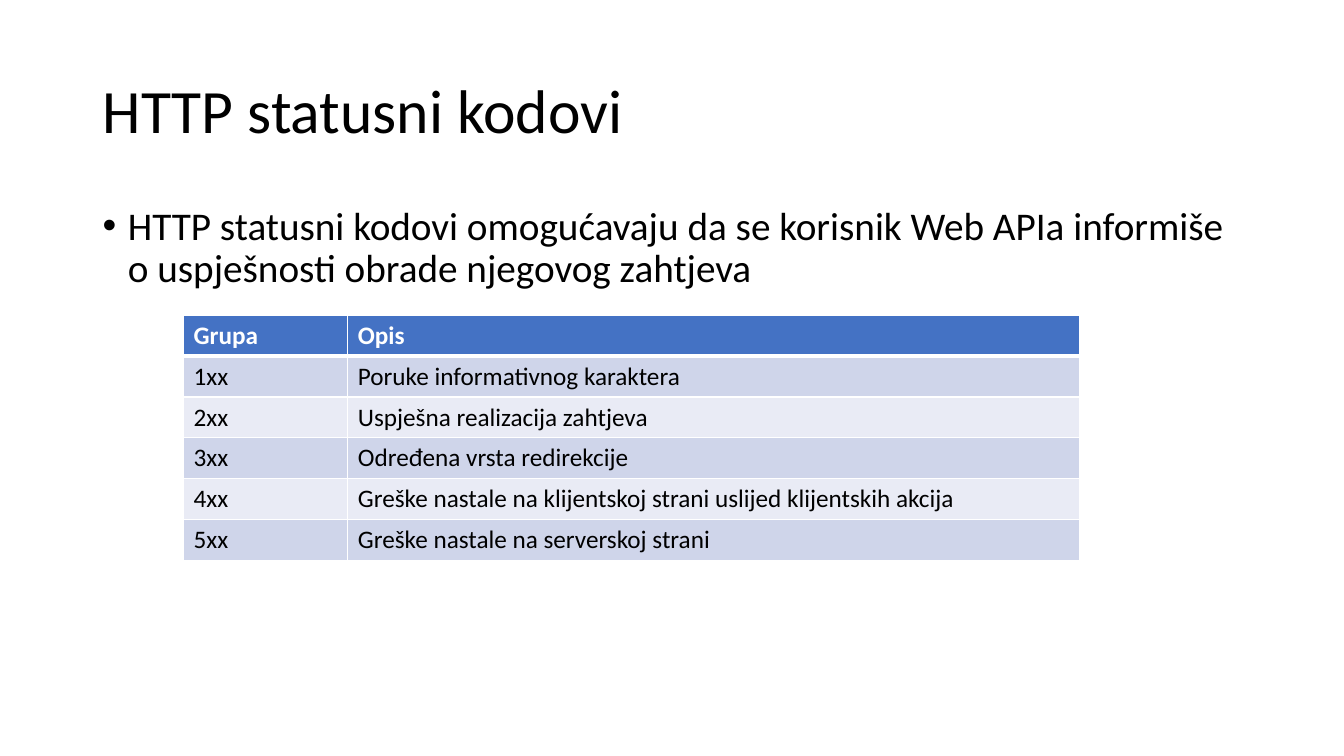
"""Builds a slide that lists the groups of HTTP status codes in a table."""
import pptx
import pptx.dml.color
import pptx.enum.text
import pptx.oxml
import pptx.oxml.ns
import pptx.util
from pptx.util import Inches

COLORS = {
    "text": "000000",
    "white": "FFFFFF",
    "header": "4472C4",
    "odd": "CFD5EA",
    "even": "E9EBF5",
}

STATUS_GROUPS = [
    ("Grupa", "Opis"),
    ("1xx", "Poruke informativnog karaktera"),
    ("2xx", "Uspješna realizacija zahtjeva"),
    ("3xx", "Određena vrsta redirekcije"),
    ("4xx", "Greške nastale na klijentskoj strani uslijed klijentskih akcija"),
    ("5xx", "Greške nastale na serverskoj strani"),
]


class SlideBuilder:
    def __init__(self, slide, font="Calibri"):
        self.slide = slide
        self.font = font

    def color(self, name):
        return pptx.dml.color.RGBColor.from_string(COLORS[name])

    def format_text(self, p, size, color="text", bold=False):
        for r in p.runs:
            r.font.name = self.font
            r.font.size = pptx.util.Pt(size)
            r.font.bold = bold
            r.font.color.rgb = self.color(color)

    def text(self, text, left, top, width, height, size, anchor):
        sp = self.slide.shapes.add_textbox(
            Inches(left), Inches(top), Inches(width), Inches(height))
        tf = sp.text_frame
        tf.text = text
        tf.word_wrap = True
        tf.vertical_anchor = anchor
        p = tf.paragraphs[0]
        p.line_spacing = 0.9
        self.format_text(p, size)
        return p

    def bullet(self, p, indent):
        p.space_before = pptx.util.Pt(10)
        pPr = p._p.get_or_add_pPr()
        pPr.set("marL", str(Inches(indent)))
        pPr.set("indent", str(-Inches(indent)))
        for tag, key, value in (("buFont", "typeface", "Arial"), ("buChar", "char", "•")):
            pPr.append(pptx.oxml.parse_xml(
                f'<a:{tag} {pptx.oxml.ns.nsdecls("a")} {key}="{value}"/>'))

    def cell_borders(self, cell, top, bottom):
        tcPr = cell._tc.get_or_add_tcPr()
        for side, width in (("L", 1), ("R", 1), ("T", top), ("B", bottom)):
            tcPr.append(pptx.oxml.parse_xml(
                f'<a:ln{side} {pptx.oxml.ns.nsdecls("a")} w="{pptx.util.Pt(width)}">'
                f'<a:solidFill><a:srgbClr val="{COLORS["white"]}"/></a:solidFill>'
                f'</a:ln{side}>'))

    def table(self, rows, left, top, col_widths, row_height):
        table = self.slide.shapes.add_table(
            len(rows), len(col_widths), Inches(left), Inches(top),
            Inches(sum(col_widths)), Inches(row_height * len(rows))).table
        for column, width in zip(table.columns, col_widths):
            column.width = Inches(width)
        for i, row in enumerate(rows):
            is_header = i == 0
            fill = "header" if is_header else "odd" if i % 2 else "even"
            for j, text in enumerate(row):
                cell = table.cell(i, j)
                cell.text = text
                self.cell_borders(cell, 3 if i == 1 else 1, 3 if is_header else 1)
                cell.fill.solid()
                cell.fill.fore_color.rgb = self.color(fill)
                self.format_text(cell.text_frame.paragraphs[0], 18,
                                 "white" if is_header else "text", is_header)


def main():
    prs = pptx.Presentation()
    prs.slide_width = Inches(13.33)
    prs.slide_height = Inches(7.5)
    s = SlideBuilder(prs.slides.add_slide(prs.slide_layouts[6]))
    anchors = pptx.enum.text.MSO_ANCHOR

    s.text("HTTP statusni kodovi", 0.92, 0.4, 11.5, 1.45, 44, anchors.MIDDLE)
    p = s.text("HTTP statusni kodovi omogućavaju da se korisnik Web APIa informiše "
               "o uspješnosti obrade njegovog zahtjeva",
               0.92, 2, 11.5, 4.76, 28, anchors.TOP)
    s.bullet(p, 0.25)
    s.table(STATUS_GROUPS, 1.82, 3.13, (1.63, 7.26), 0.405)
    prs.save("out.pptx")


if __name__ == "__main__":
    main()
